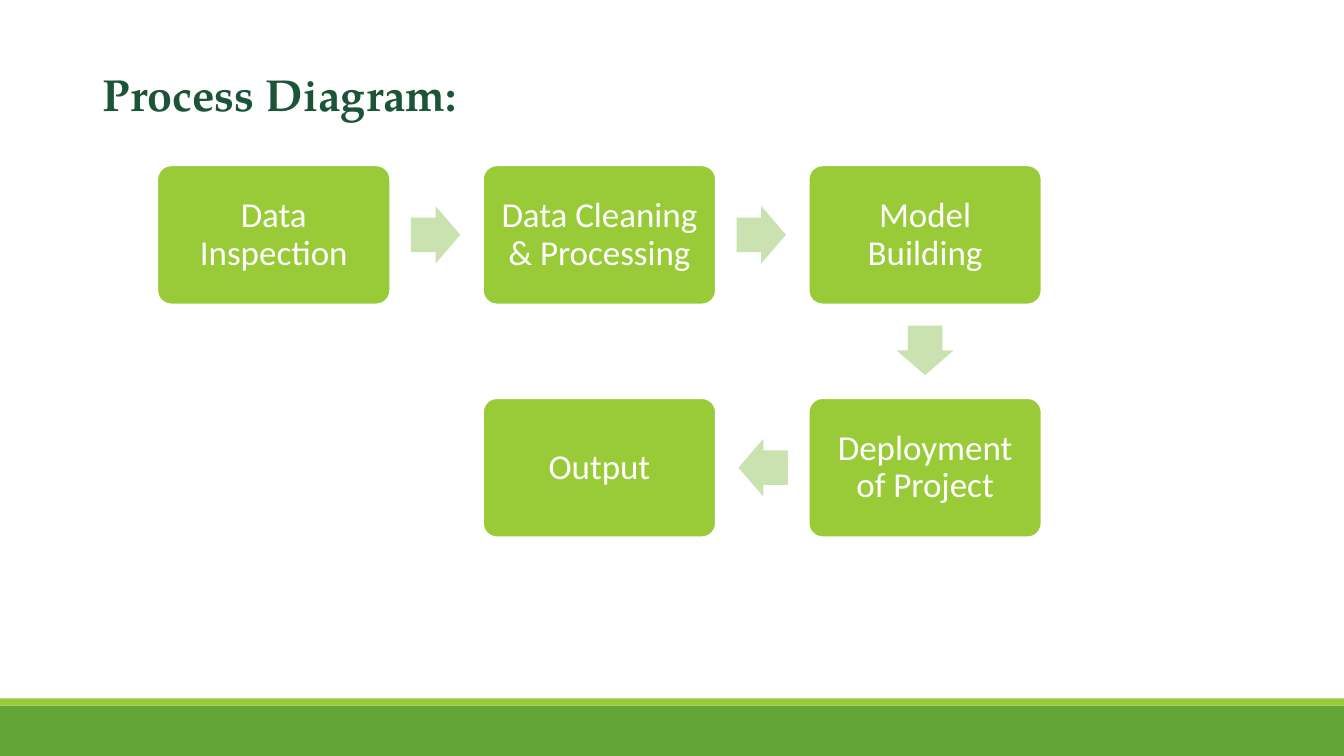
from dataclasses import dataclass
from math import atan2, degrees

from pptx import Presentation
from pptx.dml.color import RGBColor
from pptx.enum import shapes, text
from pptx.util import Inches, Pt

HEADING = "Process Diagram:"
STEPS = [
    ("Data Inspection", 0, 0),
    ("Data Cleaning & Processing", 1, 0),
    ("Model Building", 2, 0),
    ("Deployment of Project", 2, 1),
    ("Output", 1, 1),
]
BANDS = [("forest", 7, 0.5), ("lime", 6.93, 0.07)]


@dataclass(frozen=True)
class Theme:
    forest: str = "63A537"
    lime: str = "99CB38"
    pale: str = "CAE2AF"
    heading: str = "1C5438"
    white: str = "FFFFFF"
    heading_font: str = "TeX Gyre Pagella"
    step_font: str = "Calibri"
    heading_size: int = 32
    step_size: int = 25


THEME = Theme()
SLIDE_W, SLIDE_H = 13.33, 7.5
STEP_W, STEP_H = 2.31, 1.38
FIRST_X, FIRST_Y = 1.56, 1.64
PITCH_X, PITCH_Y = 3.23, 2.31
ARROW_W, ARROW_H = 0.49, 0.57
ARROW_LAG = 0.01


def style(paragraph, font, size, color, bold=False):
    paragraph.font.name = font
    paragraph.font.size = Pt(size)
    paragraph.font.bold = bold
    paragraph.font.color.rgb = RGBColor.from_string(color)


def add_block(preset, x, y, w, h, fill):
    block = slide.shapes.add_shape(preset, Inches(x), Inches(y), Inches(w), Inches(h))
    block.shadow.inherit = False
    block.fill.solid()
    block.fill.fore_color.rgb = RGBColor.from_string(fill)
    block.line.fill.background()
    return block


def step_center(column, row):
    return (FIRST_X + column * PITCH_X + STEP_W / 2,
            FIRST_Y + row * PITCH_Y + STEP_H / 2)


def add_step(label, column, row):
    x, y = step_center(column, row)
    step = add_block(shapes.MSO_SHAPE.ROUNDED_RECTANGLE,
                     x - STEP_W / 2, y - STEP_H / 2, STEP_W, STEP_H, THEME.lime)
    step.adjustments[0] = 0.1
    step.line.color.rgb = RGBColor.from_string(THEME.white)
    step.line.width = Pt(1.25)
    frame = step.text_frame
    frame.word_wrap = True
    frame.vertical_anchor = text.MSO_ANCHOR.MIDDLE
    frame.margin_left = frame.margin_right = Inches(0.1)
    frame.margin_top = frame.margin_bottom = Inches(0.1)
    frame.text = label
    paragraph = frame.paragraphs[0]
    paragraph.alignment = text.PP_ALIGN.CENTER
    paragraph.line_spacing = 0.9
    style(paragraph, THEME.step_font, THEME.step_size, THEME.white)


def add_arrow(start, end):
    (x1, y1), (x2, y2) = step_center(*start), step_center(*end)
    dx, dy = end[0] - start[0], end[1] - start[1]
    x = (x1 + x2) / 2 - dx * ARROW_LAG
    y = (y1 + y2) / 2 - dy * ARROW_LAG
    arrow = add_block(shapes.MSO_SHAPE.RIGHT_ARROW,
                      x - ARROW_W / 2, y - ARROW_H / 2, ARROW_W, ARROW_H, THEME.pale)
    arrow.adjustments[0] = 0.6
    arrow.adjustments[1] = 0.5
    arrow.rotation = degrees(atan2(dy, dx))


deck = Presentation()
deck.slide_width, deck.slide_height = Inches(SLIDE_W), Inches(SLIDE_H)
slide = deck.slides.add_slide(deck.slide_layouts[5])

heading = slide.shapes.title
heading.left, heading.top = Inches(0.92), Inches(0.61)
heading.width, heading.height = Inches(11.52), Inches(1.11)
heading.text_frame.text = HEADING
heading.text_frame.word_wrap = True
heading.text_frame.auto_size = text.MSO_AUTO_SIZE.NONE
heading.text_frame.vertical_anchor = text.MSO_ANCHOR.TOP
heading_line = heading.text_frame.paragraphs[0]
heading_line.alignment = text.PP_ALIGN.LEFT
style(heading_line, THEME.heading_font, THEME.heading_size, THEME.heading, bold=True)

for color, top, height in BANDS:
    add_block(shapes.MSO_SHAPE.RECTANGLE, 0, top, SLIDE_W, height, getattr(THEME, color))

for step in STEPS:
    add_step(*step)
for before, after in zip(STEPS, STEPS[1:]):
    add_arrow(before[1:], after[1:])

deck.save("out.pptx")
